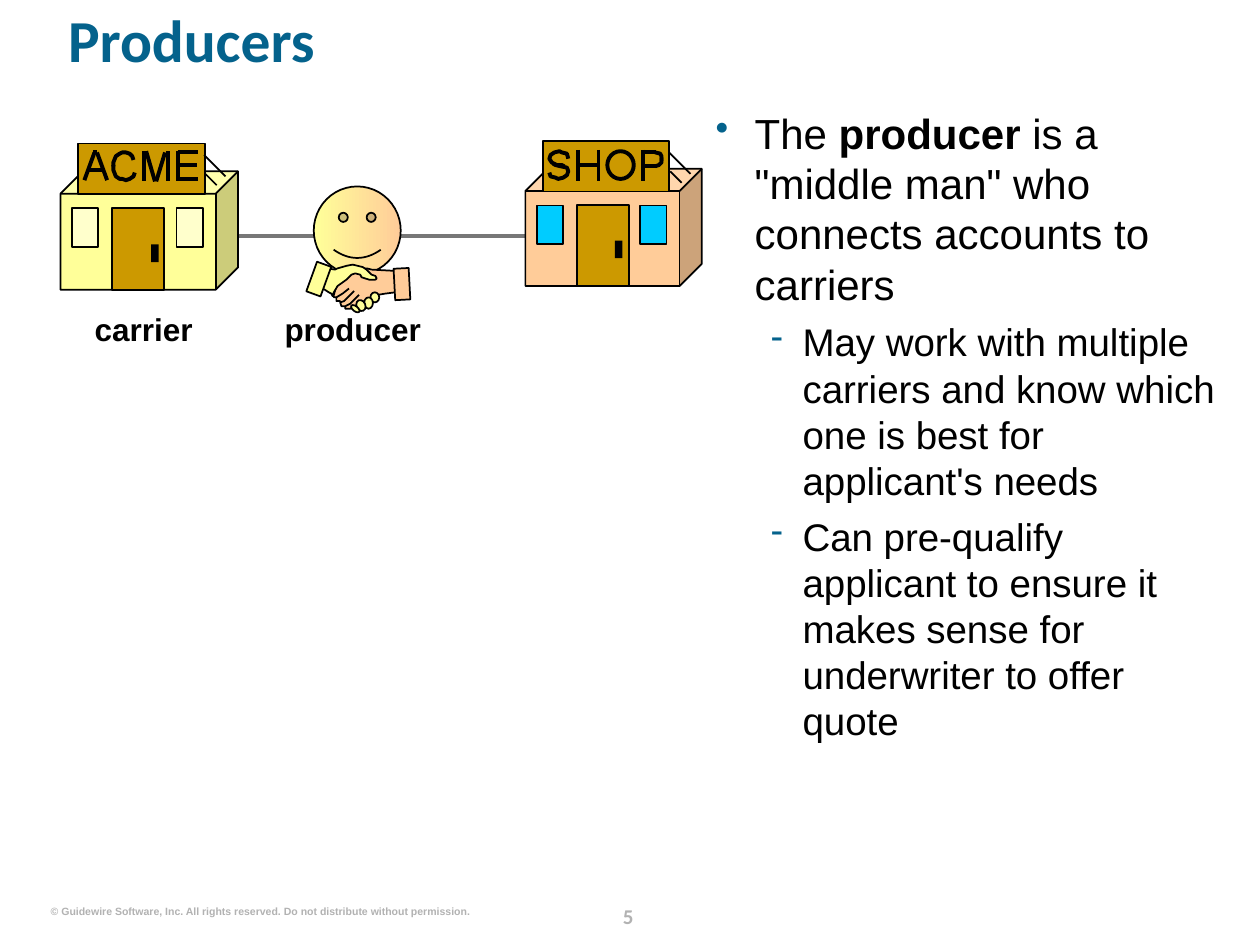
from lxml import etree
from pptx import Presentation
from pptx import util as u
from pptx.dml.color import RGBColor
from pptx.enum import shapes, text
from pptx.oxml.ns import qn

PX = 9144  # one px is 1/100 inch
HUES = {"blue": "04628C", "grey": "B2B2B2", "link": "777777", "ink": "000000",
        "wood": "CC9900", "peach": "FFCC99", "lemon": "FFFF99",
        "cream": "FFFFCC", "sky": "00CCFF"}
KIND = shapes.MSO_SHAPE
ALIGN = text.PP_ALIGN

# Sign letters, relative to the sign's house: straight strokes and curves
ACME_BARS = [(27, -15, 19, 7), (29, -15, 37, 7), (22, -1, 34, -1), (26, -15, 29, -15),
             (93, -16, 93, 8), (93, -15, 109, -15), (93, 6, 109, 6), (93, -5, 108, -5),
             (68, -16, 75, 8), (83, -15, 76, 8), (66, -16, 66, 8), (85, -16, 85, 8)]
ACME_ARCS = [
    [(58, -9), (57, -12), (55, -14), (52, -15), (49, -15), (47, -14), (44, -12),
     (42, -7), (42, -4)],
    [(59, 1), (58, 4), (55, 6), (52, 7), (49, 6), (47, 6), (44, 4), (42, -1), (42, -5)]]
SHOP_BARS = [(42, -15, 42, 10), (58, -15, 58, 10), (41, -3, 59, -3),
             (93, -15, 93, 10), (93, -13, 104, -13), (93, -2, 104, -2)]
SHOP_ARCS = [
    [(103, -13), (107, -12), (108, -10), (108, -6)],
    [(103, -2), (106, -3), (108, -5), (108, -9)],
    [(34, -8), (33, -12), (29, -13), (27, -14), (23, -13), (20, -11), (19, -8),
     (21, -5), (25, -3), (29, -3), (31, -2)],
    [(19, 3), (20, 6), (24, 7), (26, 8), (30, 7), (33, 5), (34, 2), (33, -1),
     (28, -2), (24, -3), (22, -4)]]

# Handshake outlines
PEACH_HAND = [
    (313, 215), (295, 214), (291, 213), (279, 213), (266, 219), (261, 225), (273, 221),
    (274, 222), (267, 227), (265, 234), (265, 236), (267, 236), (267, 239), (268, 239),
    (270, 239), (270, 240), (271, 243), (274, 243), (274, 245), (278, 245), (282, 243),
    (291, 238), (300, 234), (306, 233), (314, 232), (316, 232), (315, 226)]
LEMON_HAND = [
    (260, 213), (266, 214), (268, 213), (275, 211), (280, 210), (288, 212), (291, 214),
    (295, 218), (298, 219), (299, 221), (298, 222), (293, 222), (287, 220), (286, 218),
    (282, 217), (279, 218), (275, 222), (268, 227), (265, 232), (264, 235), (263, 233),
    (261, 232), (258, 230), (256, 229), (257, 223)]
CREASES = [[(267, 236), (272, 233), (277, 229)],
           [(270, 240), (273, 239), (276, 236), (281, 231)],
           [(274, 243), (278, 241), (281, 238), (285, 234)]]


def rgb(hue):
    return RGBColor.from_string(HUES[hue])


def ink(item, fill=None, pen=1):
    """Set fill and outline."""
    item.shadow.inherit = False
    if fill:
        item.fill.solid()
        item.fill.fore_color.rgb = rgb(fill)
    else:
        item.fill.background()
    if pen:
        item.line.color.rgb = rgb("ink")
        item.line.width = u.Pt(pen)
    else:
        item.line.fill.background()
    return item


def block(tree, kind, box, fill=None, pen=1, turn=0):
    item = tree.add_shape(kind, *(n * PX for n in box))
    item.rotation = turn
    return ink(item, fill, pen)


def stroke(tree, ends, pen=1, hue="ink"):
    item = tree.add_connector(shapes.MSO_CONNECTOR.STRAIGHT, *(n * PX for n in ends))
    item.line.color.rgb = rgb(hue)
    item.line.width = u.Pt(pen)
    etree.SubElement(item._element.spPr, qn("a:effectLst"))


def curve(tree, dots, fill=None, pen=1, close=False):
    form = tree.build_freeform(*dots[0], scale=PX)
    form.add_line_segments(dots[1:], close=close)
    return ink(form.convert_to_shape(), fill, pen)


def frame(item, wrap=True):
    """Clear the margins of a text frame and hang it from the top."""
    body = item.text_frame
    body.margin_left = body.margin_right = body.margin_top = body.margin_bottom = 0
    body.vertical_anchor = text.MSO_ANCHOR.TOP
    body.word_wrap = wrap
    return body


def write(para, words, size, hue="ink", bold=False, face="Arial"):
    run = para.add_run()
    run.text = words
    font = run.font
    font.name, font.size, font.bold = face, u.Pt(size), bold
    font.color.rgb = rgb(hue)


def label(tree, box, words, size, hue="ink", align=ALIGN.CENTER, face="Arial", wrap=True):
    item = tree.add_textbox(*(n * PX for n in box))
    para = frame(item, wrap).paragraphs[0]
    para.alignment = align
    write(para, words, size, hue, True, face)


def bullet(para, mark, left, hang):
    props = para._p.get_or_add_pPr()
    props.set("marL", str(left * PX))
    props.set("indent", str(-hang * PX))
    tone = etree.SubElement(props, qn("a:buClr"))
    etree.SubElement(tone, qn("a:srgbClr"), val=HUES["blue"])
    etree.SubElement(props, qn("a:buSzPct"), val="90000")
    etree.SubElement(props, qn("a:buChar"), char=mark)


def house(slide, x, y, wall, pane, bars, arcs, scale=1):
    """Shop front with a lettered sign on the roof."""
    tree = slide.shapes.add_group_shape().shapes

    def part(kind, box, fill, pen=1):
        left, top, wide, high = (round(n * scale) for n in box)
        return block(tree, kind, (x + left, y + top, wide, high), fill, pen)

    def bar(ends, pen):
        a, b, c, d = ends
        stroke(tree, (x + a, y + b, x + c, y + d), pen)

    part(KIND.CUBE, (0, 0, 141, 94), wall).adjustments[0] = 0.189
    part(KIND.RECTANGLE, (41, 29, 41, 65), "wood")
    for left in (9, 92):
        part(KIND.RECTANGLE, (left, 29, 21, 31), pane)
    part(KIND.RECTANGLE, (72, 58, 6, 14), "ink", 0)
    part(KIND.RECTANGLE, (14, -22, 101, 40), "wood")
    for ends in ((114, -13, 131, 4), (115, 2, 124, 11)):
        bar(ends, 1)
    for ends in bars:
        bar(ends, 2.25)
    for arc in arcs:
        curve(tree, [(x + a, y + b) for a, b in arc], pen=2.25)
    return tree


def broker(slide):
    """Smiling face above a handshake."""
    tree = slide.shapes.add_group_shape().shapes
    fill = block(tree, KIND.SMILEY_FACE, (249, 148, 69, 70)).fill
    fill.gradient()
    fill.gradient_angle = 0
    for stop, hue, spot in zip(fill.gradient_stops, ("lemon", "peach"), (0, 1)):
        stop.color.rgb = rgb(hue)
        stop.position = spot
    curve(tree, PEACH_HAND, "peach", close=True)
    curve(tree, LEMON_HAND, "lemon", close=True)
    # Cuffs
    block(tree, KIND.RECTANGLE, (313, 213, 12, 25), "peach", turn=357)
    block(tree, KIND.RECTANGLE, (247, 209, 12, 25), "lemon", turn=19.9)
    # Fingertips
    for box, turn in (((294, 232, 7, 8), 0), ((289, 236, 7, 9), 0),
                      ((283, 238, 7, 9), 336.5), ((280, 241, 4, 8), 308.3)):
        block(tree, KIND.OVAL, box, "lemon", turn=turn)
    for dots, hue in zip(CREASES, (None, None, "lemon")):
        curve(tree, dots, hue)


def points(slide):
    item = slide.shapes.add_textbox(568 * PX, 85 * PX, 400 * PX, 599 * PX)
    body = frame(item)
    lead = body.paragraphs[0]
    bullet(lead, "•", 31, 31)
    write(lead, "The ", 24)
    write(lead, "producer", 24, bold=True)
    write(lead, ' is a "middle man" who connects accounts to carriers', 24)
    for words in ("May work with multiple carriers and know which one is best for "
                  "applicant's needs",
                  "Can pre-qualify applicant to ensure it makes sense for "
                  "underwriter to offer quote"):
        para = body.add_paragraph()
        para.level = 1
        bullet(para, "-", 69, 25)
        para.space_before = u.Pt(5.5)
        write(para, words, 22)


def heading(slide):
    item = slide.shapes.title
    item.left, item.top, item.width, item.height = (n * PX for n in (54, 13, 910, 81))
    para = frame(item).paragraphs[0]
    para.alignment = ALIGN.LEFT
    para.line_spacing = 0.8
    write(para, "Producers", 34, "blue", True, "Calibri")


def main():
    deck = Presentation()
    deck.slide_width, deck.slide_height = 1000 * PX, 750 * PX
    slide = deck.slides.add_slide(deck.slide_layouts[5])
    tree = slide.shapes
    heading(slide)
    # Footer
    label(tree, (470, 717, 57, 25), "5", 12, "grey", face="Calibri")
    label(tree, (40, 718, 333, 10), "© Guidewire Software, Inc. All rights reserved. "
          "Do not distribute without permission.", 6, "grey", ALIGN.RIGHT, wrap=False)
    # Carrier, producer and shop on one link
    stroke(tree, (188, 187, 418, 187), 2.25, "link")
    points(slide)
    shop = house(slide, 417, 134, "peach", "sky", SHOP_BARS, SHOP_ARCS, 0.99)
    block(shop, KIND.OVAL, (482, 120, 21, 22), pen=2.25)  # letter O
    broker(slide)
    house(slide, 48, 136, "lemon", "cream", ACME_BARS, ACME_ARCS)
    for left, words in ((216, "producer"), (50, "carrier")):
        label(tree, (left, 246, 128, 30), words, 18)
    deck.save("out.pptx")


if __name__ == "__main__":
    main()
